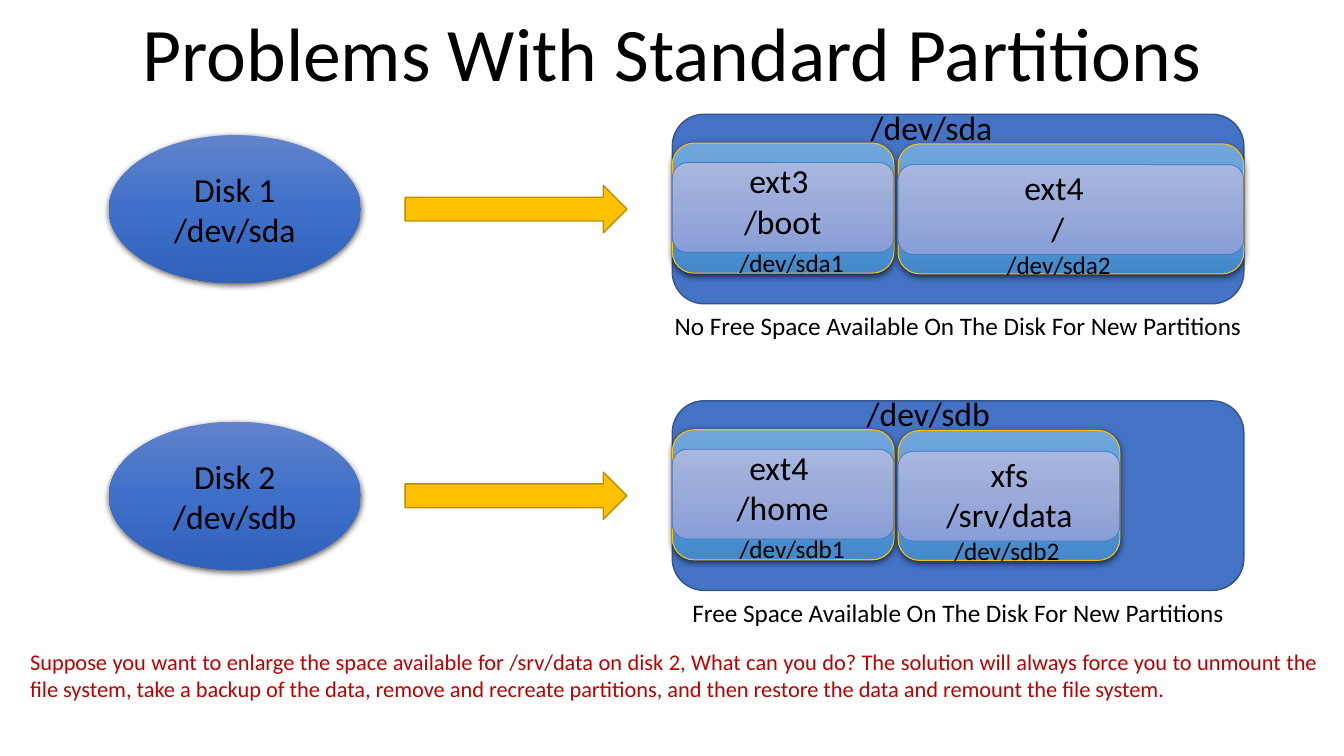
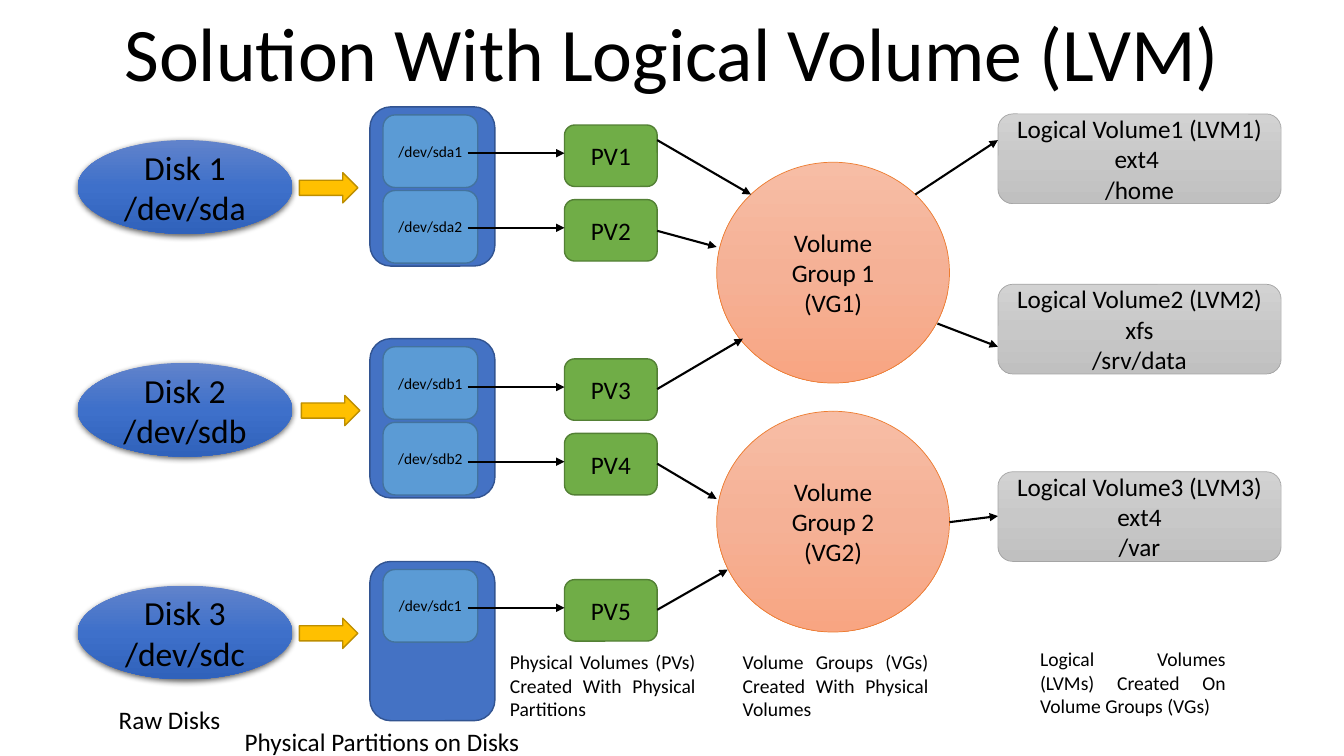
from copy import deepcopy

from lxml import etree
from pptx import Presentation
from pptx.dml.color import RGBColor
from pptx.enum.shapes import MSO_CONNECTOR, MSO_SHAPE
from pptx.enum.text import MSO_ANCHOR, MSO_AUTO_SIZE, PP_ALIGN
from pptx.oxml.ns import qn
from pptx.util import Inches, Pt

ELLIPSE, ROUND, ARROW = MSO_SHAPE.OVAL, MSO_SHAPE.ROUNDED_RECTANGLE, MSO_SHAPE.RIGHT_ARROW
STRAIGHT = MSO_CONNECTOR.STRAIGHT
LEFT, CENTER, JUSTIFY = PP_ALIGN.LEFT, PP_ALIGN.CENTER, PP_ALIGN.JUSTIFY
TOP, MIDDLE = MSO_ANCHOR.TOP, MSO_ANCHOR.MIDDLE
FIXED = MSO_AUTO_SIZE.NONE

# The grid has 40 columns and 22.5 rows of square cells.
COLS, ROWS = 40, 22.5
SLIDE_W, SLIDE_H = Inches(40 / 3), Inches(7.5)
TITLE_ROWS = 3.03

FONT, BLACK, RED = "Calibri", "000000", "C00000"
DISK_FILL = ("6183CB", "3E70CA", "3062BB")
PART_FILL = ("71A6DB", "559BDB", "448ACA")
MOUNT_FILL = ("A8B7DF", "9AABD9", "889ED7")
GROUP_FILL = ("F7BDA5", "F5B196", "F8A582")
VOLUME_FILL = ("D2D2D2", "C8C8C8", "C0C0C0")


def rgb(value):
    """Turn a hex string into a colour."""
    return RGBColor.from_string(value)


def col(n):
    """Length of n grid columns."""
    return round(SLIDE_W * n / COLS)


def row(n):
    """Length of n grid rows."""
    return round(SLIDE_H * n / ROWS)


def cells(x, y, w, h):
    """Left, top, width and height of a grid area."""
    return col(x), row(y), col(w), row(h)


class Deck:
    """Holds the shared style and the current slide."""

    def __init__(self):
        self.prs = Presentation()
        self.prs.slide_width, self.prs.slide_height = SLIDE_W, SLIDE_H
        self.s = None

    def slide(self, title, width):
        """Start a slide with a centred title of the given width."""
        self.s = self.prs.slides.add_slide(self.prs.slide_layouts[5])
        sp = self.s.shapes.title
        sp.left, sp.top, sp.width, sp.height = cells((COLS - width) / 2, 0, width, TITLE_ROWS)
        self.fill_text(sp, [title], 54, wrap=False)

    def fill_text(self, sp, lines, size, align=CENTER, anchor=MIDDLE, color=BLACK, wrap=True):
        """Fill a shape with one paragraph per line."""
        tf = sp.text_frame
        tf.auto_size, tf.word_wrap, tf.vertical_anchor = FIXED, wrap, anchor
        for i, line in enumerate(lines):
            p = tf.add_paragraph() if i else tf.paragraphs[0]
            p.alignment = align
            r = p.add_run()
            r.text = line
            r.font.name, r.font.size = FONT, Pt(size)
            r.font.color.rgb = rgb(color)

    def text(self, x, y, w, h, lines, size, align=CENTER, color=BLACK):
        """Add a text box."""
        sp = self.s.shapes.add_textbox(*cells(x, y, w, h))
        self.fill_text(sp, lines, size, align, TOP, color)

    def shape(self, kind, area, fill, line=None, lines=(), size=18, shadow=False):
        """Add a preset shape; fill is a colour or three gradient colours."""
        sp = self.s.shapes.add_shape(kind, *cells(*area))
        if isinstance(fill, tuple):
            self.gradient(sp, fill)
        else:
            sp.fill.solid()
            sp.fill.fore_color.rgb = rgb(fill)
        if line:
            sp.line.color.rgb, sp.line.width = rgb(line[0]), Pt(line[1])
        else:
            sp.line.fill.background()
        sp.shadow.inherit = False
        if shadow:
            self.drop_shadow(sp)
        if lines:
            self.fill_text(sp, lines, size)

    def gradient(self, sp, colors):
        """Give a shape a vertical gradient of three colours."""
        sp.fill.gradient()
        sp.fill.gradient_angle = 270
        stops = next(sp.element.spPr.iter(qn("a:gsLst")))
        stops.insert(1, deepcopy(stops[0]))
        for i, stop in enumerate(sp.fill.gradient_stops):
            stop.color.rgb, stop.position = rgb(colors[i]), i / 2

    def drop_shadow(self, sp):
        """Add a soft shadow below a shape."""
        effects = sp.element.spPr.find(qn("a:effectLst"))
        outer = etree.SubElement(effects, qn("a:outerShdw"), blurRad=str(Pt(4.5)),
                                 dist=str(Pt(1.5)), dir="5400000", algn="ctr", rotWithShape="0")
        color = etree.SubElement(outer, qn("a:srgbClr"), val=BLACK)
        etree.SubElement(color, qn("a:alpha"), val="63000")

    def connect(self, x1, y1, x2, y2):
        """Add a thin black arrow."""
        sp = self.s.shapes.add_connector(STRAIGHT, col(x1), row(y1), col(x2), row(y2))
        sp.line.color.rgb, sp.line.width = rgb(BLACK), Pt(1.5)
        props = sp.element.spPr
        etree.SubElement(props.find(qn("a:ln")), qn("a:tailEnd"), type="triangle")
        etree.SubElement(props, qn("a:effectLst"))

    def disk(self, x, y, w, h, number, device):
        """Add a raw disk."""
        self.shape(ELLIPSE, (x, y, w, h), DISK_FILL, lines=[f"Disk {number}", device],
                   size=24, shadow=True)

    def arrow(self, x, y, w, h):
        """Add a yellow block arrow."""
        self.shape(ARROW, (x, y, w, h), "FFC000", ("BD8E00", 1))

    def device(self, x, y, w, h):
        """Add the blue outline of a disk's space."""
        self.shape(ROUND, (x, y, w, h), "4472C4", ("325491", 1))

    def partition(self, x, y, w, label, label_x, mount, mount_x, mount_y, drop):
        """Add a partition with its file system, mount point and device name."""
        self.shape(ROUND, (x, y, w, 3.87), PART_FILL, ("FFC000", 0.75), shadow=True)
        self.shape(ROUND, (x, y + 0.58 + drop, w, 2.67), MOUNT_FILL, ("4472C4", 0.5))
        self.text(label_x, y + 2.94 + drop, 4.89, 1.2, [label], 18, LEFT)
        self.text(mount_x, mount_y, 4.89, 2.73, mount, 24)


def standard_partitions(deck):
    """Build the slide on standard partitions."""
    deck.slide("Problems With Standard Partitions", 32.5)
    disks = [
        ("/dev/sda", 25.62, ["ext3 ", "/boot"], ["ext4 ", "/"], 10.29, 29.67, 29.04,
         "No Free Space Available On The Disk For New Partitions"),
        ("/dev/sdb", 25.5, ["ext4 ", "/home"], ["xfs", "/srv/data"], 6.6, 28.11, 27.6,
         "Free Space Available On The Disk For New Partitions"),
    ]
    for i, (name, name_x, first, second, width, label_x, mount_x, caption) in enumerate(disks):
        y = 3.4 + 8.53 * i
        deck.disk(3.24, y + 0.62, 7.5, 4.41, i + 1, name)
        deck.arrow(12.06, y + 2.12, 6.6, 1.41)
        deck.device(20.01, y, 17.01, 5.64)
        deck.partition(20.01, y + 0.86, 6.6, name + "1", 21.72, first, 20.85, y + 1.22, 0)
        deck.partition(26.73, y + 0.88, width, name + "2", label_x, second, mount_x,
                       y + 1.43, 0.04)
        deck.text(name_x, y - 0.37, 4.89, 1.5, [name], 24, LEFT)
        deck.text(17.37, y + 5.7, 22.29, 1.2, [caption], 18)
    deck.text(0.6, 19.14, 38.94, 1.92, [
        "Suppose you want to enlarge the space available for /srv/data on disk 2, "
        "What can you do? The solution will always force you to unmount the file system, "
        "take a backup of the data, remove and recreate partitions, and then restore "
        "the data and remount the file system."], 16, JUSTIFY, RED)


def logical_volumes(deck):
    """Build the slide on logical volumes."""
    deck.slide("Solution With Logical Volume (LVM)", 33.54)

    volume = 0
    disks = [("/dev/sda", 3.18, 8.91, 2, 0.54),
             ("/dev/sdb", 10.08, 8.97, 2, 0.6),
             ("/dev/sdc", 16.71, 8.91, 1, 0.54)]
    for i, (name, top, arrow_x, count, drop) in enumerate(disks):
        y = 4.17 + 6.63 * i
        deck.disk(2.31, y, 6.39, 2.79, i + 1, name)
        deck.arrow(arrow_x, y + 0.97, 1.74, 0.9)
        deck.device(11.01, top, 3.72, 4.74)
        for j in range(count):
            volume += 1
            deck.shape(ROUND, (11.4, top + 0.24 + 2.25 * j, 2.82, 2.16), "5B9BD5",
                       ("43739E", 1), [f"{name}{j + 1}"], 11)
            pv_y = top + drop + 2.22 * j
            deck.shape(ROUND, (16.8, pv_y, 2.76, 1.83), "70AD47", ("538035", 1),
                       [f"PV{volume}"])
            deck.connect(13.92, pv_y + 0.84, 16.8, pv_y + 0.84)

    for i in range(2):
        deck.shape(ELLIPSE, (21.33, 4.83 + 7.41 * i, 6.93, 6.57), GROUP_FILL,
                   ("ED7D31", 0.5), [f"Volume Group {i + 1} (VG{i + 1})"])

    mounts = [(3.39, "ext4 ", "/home"), (8.46, "xfs", "/srv/data"), (14.04, "ext4", "/var")]
    for i, (y, system, mount) in enumerate(mounts, 1):
        deck.shape(ROUND, (29.7, y, 8.43, 2.67), VOLUME_FILL, ("A5A5A5", 0.5),
                   [f"Logical Volume{i} (LVM{i})", system, mount])

    to_groups = [(4.17, 22.35, 5.79), (6.87, 21.33, 7.35), (11.58, 22.11, 10.08),
                 (13.8, 21.33, 14.85), (18.15, 21.66, 16.95)]
    for y, x2, y2 in to_groups:
        deck.connect(19.56, y, x2, y2)
    to_volumes = [(27.24, 5.79, 4.17), (27.9, 9.63, 10.32), (28.26, 15.54, 15.36)]
    for x, y, y2 in to_volumes:
        deck.connect(x, y, 29.7, y2)

    deck.text(3.24, 20.82, 3.72, 1.2, ["Raw Disks"], 18, LEFT)
    deck.text(6.99, 21.48, 8.79, 1.2, ["Physical Partitions on Disks"], 18, LEFT)
    captions = [(14.88, 19.2, "Physical Volumes (PVs) Created With Physical Partitions"),
                (21.81, 19.2, "Volume Groups (VGs) Created With Physical Volumes"),
                (30.66, 19.11, "Logical Volumes (LVMs) Created On Volume Groups (VGs)")]
    for x, y, caption in captions:
        deck.text(x, y, 6.12, 2.43, [caption], 14, JUSTIFY)


def main():
    """Build and save the presentation."""
    deck = Deck()
    standard_partitions(deck)
    logical_volumes(deck)
    deck.prs.save("out.pptx")


main()
